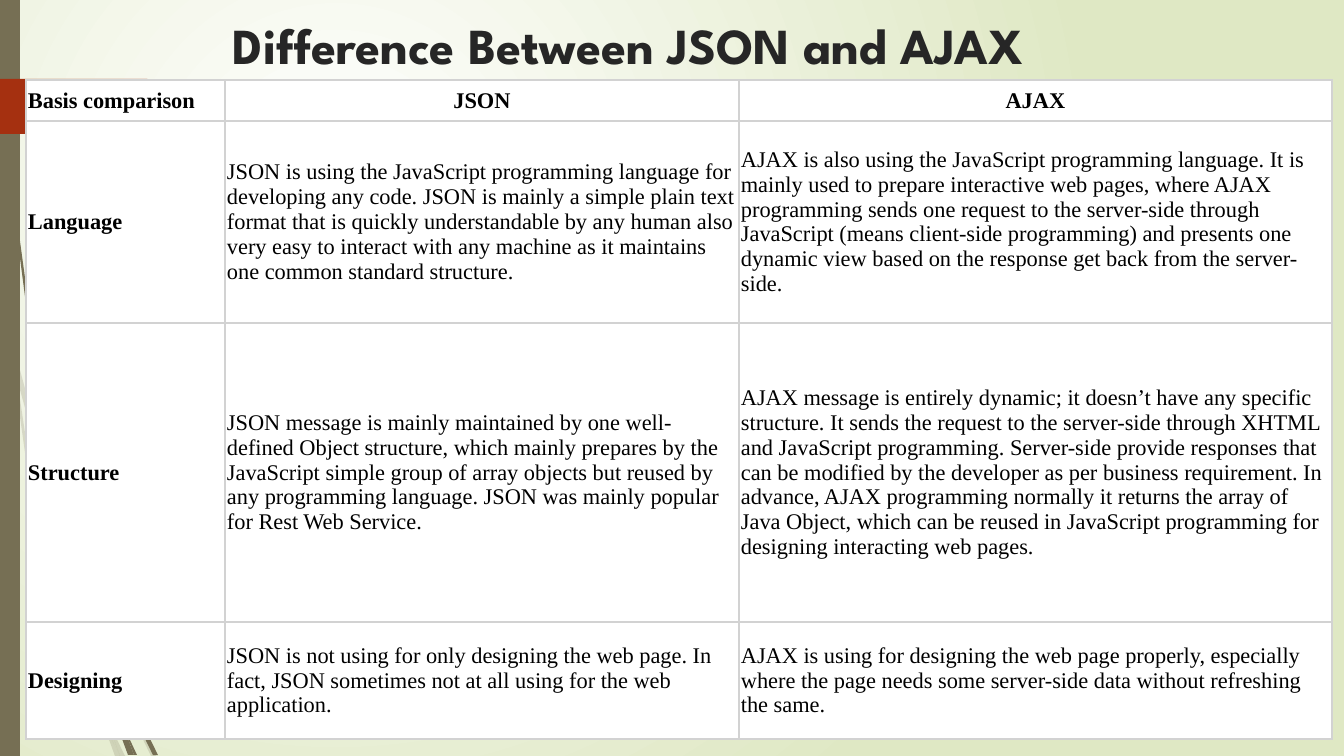
import dataclasses

import lxml.etree
import pptx
import pptx.dml.color
import pptx.enum.shapes
import pptx.enum.text
import pptx.oxml
import pptx.oxml.ns
import pptx.util

EMU_PER_PX = 914400 / 100.8
OLIVE = "766F54"
RUST = "A53010"
WHITE = "FFFFFF"
BODY_FONT = "Times New Roman"


@dataclasses.dataclass
class Wisp:
    points: list[tuple[int, int]]
    opacity: int = 100


@dataclasses.dataclass
class Band:
    kind: pptx.enum.shapes.MSO_SHAPE
    box: tuple[int, int, int, int]
    color: str


@dataclasses.dataclass
class Row:
    height: int
    texts: tuple[str, str, str]
    heading: bool = False


WISPS = [
    Wisp([(58, 526), (85, 604), (86, 591), (62, 524), (14, 348), (17, 379)], 20),
    Wisp([(93, 612), (89, 601), (89, 615), (124, 700), (151, 756), (156, 756), (128, 698)], 20),
    Wisp([(120, 756), (125, 756), (106, 717)], 20),
    Wisp([(94, 688), (71, 624), (31, 473), (17, 379), (11, 353), (28, 474),
          (66, 626), (92, 699), (102, 720), (100, 713)], 20),
    Wisp([(102, 720), (115, 756), (120, 756)], 20),
    Wisp([(97, 698), (94, 688), (100, 713), (102, 720), (120, 756), (106, 717)], 20),
    Wisp([(7, 111), (17, 235), (33, 358), (56, 481), (57, 485), (55, 457), (36, 358),
          (19, 234), (8, 110), (5, 48), (4, 0), (3, 0), (4, 48)]),
    Wisp([(114, 654), (111, 646), (112, 661), (133, 714), (153, 755), (158, 755), (137, 712)]),
    Wisp([(134, 755), (137, 755), (123, 725)]),
    Wisp([(118, 728), (128, 755), (132, 755)]),
    Wisp([(117, 712), (111, 697), (117, 723), (118, 728), (131, 755), (134, 755), (123, 725)]),
]

BANDS = [
    Band(pptx.enum.shapes.MSO_SHAPE.RECTANGLE, (0, 0, 20, 756), OLIVE),
    Band(pptx.enum.shapes.MSO_SHAPE.PENTAGON, (0, 79, 175, 55), RUST),
]

COLUMN_WIDTHS = (199, 514, 593)
ROWS = [
    Row(41, ("Basis comparison", "JSON", "AJAX"), heading=True),
    Row(202, (
        "Language",
        "JSON is using the JavaScript programming language for developing any code. JSON is mainly "
        "a simple plain text format that is quickly understandable by any human also very easy to "
        "interact with any machine as it maintains one common standard structure.",
        "AJAX is also using the JavaScript programming language. It is mainly used to prepare "
        "interactive web pages, where AJAX programming sends one request to the server-side through "
        "JavaScript (means client-side programming) and presents one dynamic view based on the "
        "response get back from the server-side.",
    )),
    Row(299, (
        "Structure",
        "JSON message is mainly maintained by one well-defined Object structure, which mainly "
        "prepares by the JavaScript simple group of array objects but reused by any programming "
        "language. JSON was mainly popular for Rest Web Service.",
        "AJAX message is entirely dynamic; it doesn’t have any specific structure. It sends the "
        "request to the server-side through XHTML and JavaScript programming. Server-side provide "
        "responses that can be modified by the developer as per business requirement. In advance, "
        "AJAX programming normally it returns the array of Java Object, which can be reused in "
        "JavaScript programming for designing interacting web pages.",
    )),
    Row(117, (
        "Designing",
        "JSON is not using for only designing the web page. In fact, JSON sometimes not at all "
        "using for the web application.",
        "AJAX is using for designing the web page properly, especially where the page needs some "
        "server-side data without refreshing the same.",
    )),
]


def px(length: int) -> pptx.util.Emu:
    return pptx.util.Emu(round(length * EMU_PER_PX))


def rgb(color: str) -> pptx.dml.color.RGBColor:
    return pptx.dml.color.RGBColor.from_string(color)


def paint_background(page) -> None:
    fill = page.background.fill
    fill.gradient()
    for stop, color in zip(fill.gradient_stops, (WHITE, "DFE8C4")):
        stop.color.rgb = rgb(color)
    linear = page.element.find(".//" + pptx.oxml.ns.qn("a:lin"))
    circle = pptx.oxml.parse_xml(
        f'<a:path {pptx.oxml.ns.nsdecls("a")} path="circle">'
        '<a:fillToRect l="50000" t="50000" r="100000" b="100000"/></a:path>'
    )
    linear.getparent().replace(linear, circle)


def paint_shape(shape, color: str) -> None:
    shape.shadow.inherit = False
    shape.fill.solid()
    shape.fill.fore_color.rgb = rgb(color)
    shape.line.fill.background()


def draw_wisp(page, wisp: Wisp) -> None:
    builder = page.shapes.build_freeform(*wisp.points[0], scale=EMU_PER_PX)
    builder.add_line_segments(wisp.points[1:])
    shape = builder.convert_to_shape()
    paint_shape(shape, OLIVE)
    if wisp.opacity < 100:
        color = shape.element.spPr.find(".//" + pptx.oxml.ns.qn("a:srgbClr"))
        alpha = lxml.etree.SubElement(color, pptx.oxml.ns.qn("a:alpha"))
        alpha.set("val", str(wisp.opacity * 1000))


def draw_band(page, band: Band) -> None:
    paint_shape(page.shapes.add_shape(band.kind, *map(px, band.box)), band.color)


def format_text(para, font: str, size: int, color: str, bold: bool) -> None:
    for span in para.runs:
        span.font.name = font
        span.font.size = pptx.util.Pt(size)
        span.font.color.rgb = rgb(color)
        span.font.bold = bold


def border_cell(cell) -> None:
    properties = cell._tc.get_or_add_tcPr()
    for index, side in enumerate(("lnL", "lnR", "lnT", "lnB")):
        properties.insert(index, pptx.oxml.parse_xml(
            f'<a:{side} {pptx.oxml.ns.nsdecls("a")} w="15240">'
            f'<a:solidFill><a:srgbClr val="D2D2D2"/></a:solidFill></a:{side}>'
        ))


def fill_cell(cell, text: str, bold: bool, centered: bool) -> None:
    cell.margin_left = cell.margin_right = px(2)
    cell.margin_top = cell.margin_bottom = px(1)
    cell.vertical_anchor = pptx.enum.text.MSO_ANCHOR.MIDDLE
    cell.fill.solid()
    cell.fill.fore_color.rgb = rgb(WHITE)
    border_cell(cell)
    para = cell.text_frame.paragraphs[0]
    para.text = text
    if centered:
        para.alignment = pptx.enum.text.PP_ALIGN.CENTER
    format_text(para, BODY_FONT, 16, "000000", bold)


def draw_comparison(page) -> None:
    width = sum(COLUMN_WIDTHS)
    height = sum(row.height for row in ROWS)
    table = page.shapes.add_table(
        len(ROWS), len(COLUMN_WIDTHS), px(26), px(80), px(width), px(height)
    ).table
    table.first_row = table.horz_banding = False
    for column, column_width in zip(table.columns, COLUMN_WIDTHS):
        column.width = px(column_width)
    for row_index, row in enumerate(ROWS):
        table.rows[row_index].height = px(row.height)
        for column_index, text in enumerate(row.texts):
            first = column_index == 0
            fill_cell(table.cell(row_index, column_index), text,
                      row.heading or first, row.heading and not first)


def draw_title(page) -> None:
    box = page.shapes.add_textbox(px(223), px(9), px(983), px(141))
    box.text_frame.word_wrap = True
    box.text_frame.text = "Difference Between JSON and AJAX"
    format_text(box.text_frame.paragraphs[0], "League Spartan", 36, "262626", True)


def main() -> None:
    deck = pptx.Presentation()
    deck.slide_width, deck.slide_height = px(1344), px(756)
    page = deck.slides.add_slide(deck.slide_layouts[6])
    paint_background(page)
    for wisp in WISPS:
        draw_wisp(page, wisp)
    for band in BANDS:
        draw_band(page, band)
    draw_comparison(page)
    draw_title(page)
    deck.save("out.pptx")


if __name__ == "__main__":
    main()
